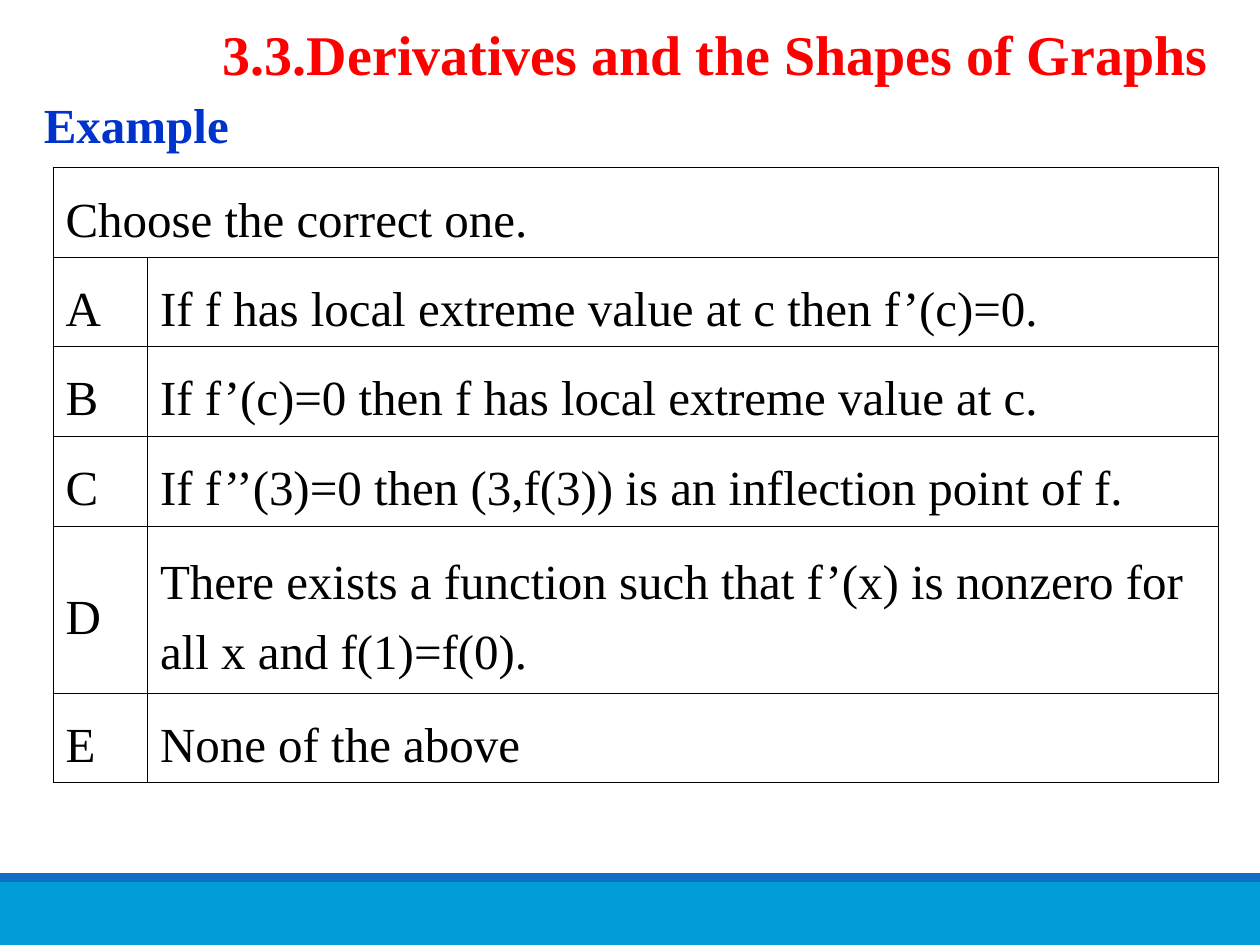
from lxml.etree import SubElement
from pptx import Presentation
from pptx.dml.color import RGBColor
from pptx.enum.shapes import MSO_SHAPE
from pptx.enum.text import MSO_ANCHOR
from pptx.oxml.ns import qn
from pptx.util import Inches, Pt

COLORS = {"band": "009DD9", "stripe": "0F6FC6", "title": "FF0000",
          "heading": "0033CC", "text": "000000"}


def write(tf, text, size, color, spacing, bold=False):
    """Fill the first paragraph of a text frame with one formatted run."""
    tf.word_wrap = True
    p = tf.paragraphs[0]
    p.line_spacing = spacing
    r = p.add_run()
    r.text = text
    r.font.name = "Times New Roman"
    r.font.size = Pt(size)
    r.font.bold = bold
    r.font.color.rgb = RGBColor.from_string(COLORS[color])


def add_cell_borders(cell):
    tcPr = cell._tc.get_or_add_tcPr()
    for i, side in enumerate(("a:lnL", "a:lnR", "a:lnT", "a:lnB")):
        ln = tcPr.makeelement(qn(side), {"w": str(Pt(0.45))})
        fill = SubElement(ln, qn("a:solidFill"))
        SubElement(fill, qn("a:srgbClr"), val=COLORS["text"])
        tcPr.insert(i, ln)  # borders come before the fill


prs = Presentation()
prs.slide_width, prs.slide_height = Inches(10), Inches(7.5)
s = prs.slides.add_slide(prs.slide_layouts[6])

# Footer bands
for color, top, height in (("band", 7, 0.5), ("stripe", 6.93, 0.07)):
    sp = s.shapes.add_shape(MSO_SHAPE.RECTANGLE, 0, Inches(top), Inches(10), Inches(height))
    sp.shadow.inherit = False
    sp.fill.solid()
    sp.fill.fore_color.rgb = RGBColor.from_string(COLORS[color])
    sp.line.fill.background()

# Heading and title
heading = s.shapes.add_textbox(Inches(0.25), Inches(0.75), Inches(9.42), Inches(6.25))
heading.text_frame.margin_left = Inches(0.1)
heading.text_frame.margin_right = 0
write(heading.text_frame, "Example", 28, "heading", 0.9, bold=True)

title = s.shapes.add_textbox(Inches(1.67), 0, Inches(8.42), Inches(0.74))
write(title.text_frame, "3.3.Derivatives and the Shapes of Graphs", 32, "title", 1.2, bold=True)

# Question and choices
choices = [
    "If f has local extreme value at c then f’(c)=0.",
    "If f’(c)=0 then f has local extreme value at c.",
    "If f’’(3)=0 then (3,f(3)) is an inflection point of f.",
    "There exists a function such that f’(x) is nonzero for all x and f(1)=f(0).",
    "None of the above",
]
rows = [("Choose the correct one.", "")] + list(zip("ABCDE", choices))
heights = [0.71, 0.71, 0.71, 0.72, 1.32, 0.71]

table = s.shapes.add_table(len(rows), 2, Inches(0.42), Inches(1.33),
                           Inches(9.25), Inches(sum(heights))).table
table.first_row = table.horz_banding = False
for column, width in zip(table.columns, (0.75, 8.5)):
    column.width = Inches(width)
table.cell(0, 0).merge(table.cell(0, 1))

for i, (texts, height) in enumerate(zip(rows, heights)):
    table.rows[i].height = Inches(height)
    for j, text in enumerate(texts):
        cell = table.cell(i, j)
        cell.fill.background()
        add_cell_borders(cell)
        cell.vertical_anchor = MSO_ANCHOR.MIDDLE
        if text:
            write(cell.text_frame, text, 28, "text", 1.3)

prs.save("out.pptx")
